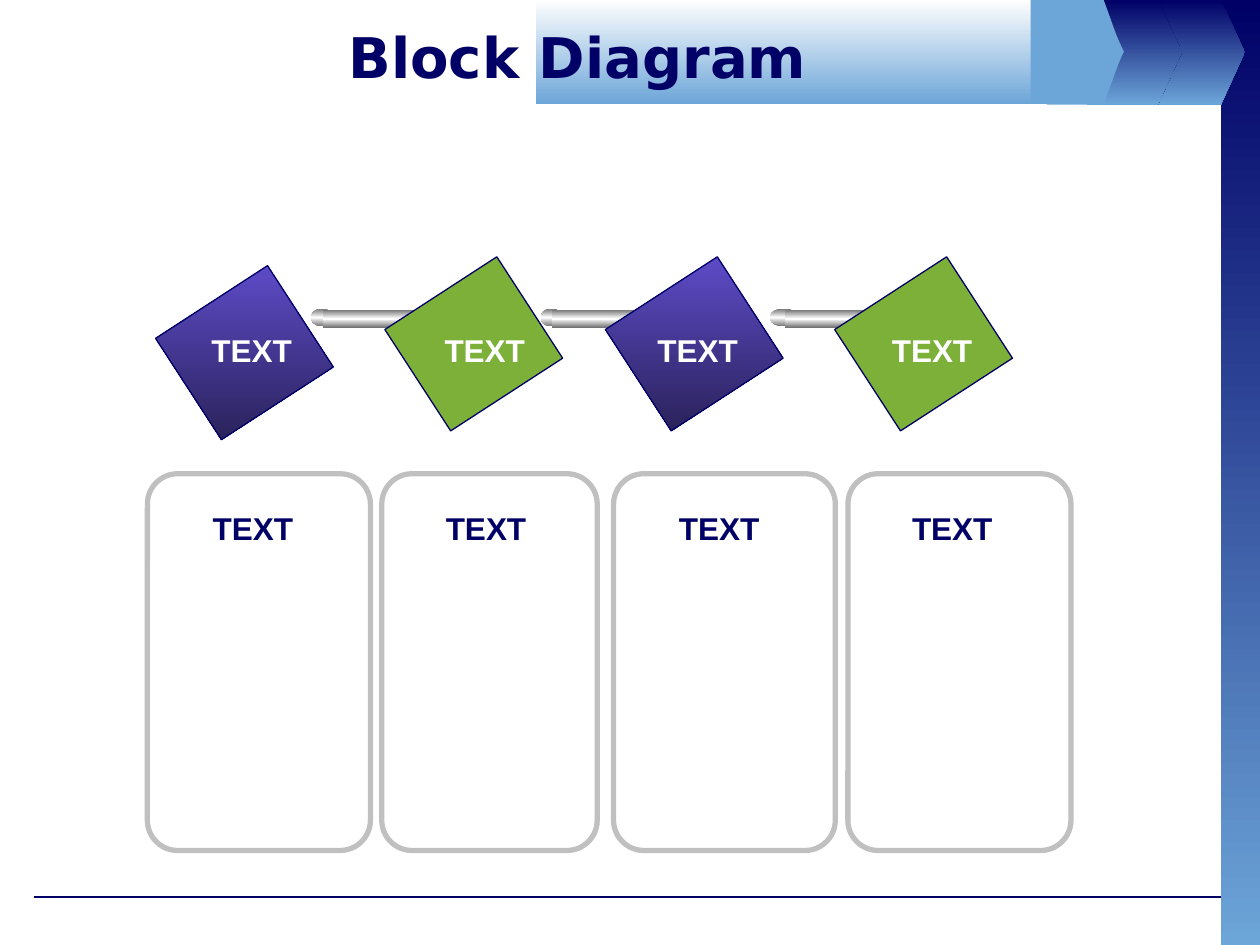
from dataclasses import dataclass
from lxml.etree import SubElement
from pptx import Presentation
from pptx.dml.color import RGBColor
from pptx.enum.shapes import MSO_CONNECTOR as Link, MSO_SHAPE as Kind
from pptx.enum.text import MSO_ANCHOR as Anchor, MSO_AUTO_SIZE as Fit, PP_ALIGN as Align
from pptx.oxml.ns import qn
from pptx.util import Inches, Pt


@dataclass(frozen=True)
class Theme:
    navy: str = "000066"
    sky: str = "6CA5D8"
    pale: str = "FEFEFE"
    white: str = "FFFFFF"
    gray: str = "C0C0C0"
    green: tuple = ("7DB038",)
    violet: tuple = ("5D4BC7", "2A225B")
    steel: tuple = ("757575", "FFFFFF", "757575")
    head: str = "DejaVu Sans"
    body: str = "Arial"
    big: int = 32
    small: int = 18


T = Theme()


def rgb(code):
    return RGBColor.from_string(code)


def paint(shape, tones=(), edge=None, width=0.75):
    shape.shadow.inherit = False
    if not tones:
        shape.fill.background()
    elif len(tones) == 1:
        shape.fill.solid()
        shape.fill.fore_color.rgb = rgb(tones[0])
    else:
        blend(shape, tones)
    if edge:
        shape.line.color.rgb = rgb(edge)
        shape.line.width = Pt(width)
    else:
        shape.line.fill.background()


def blend(shape, tones):
    shape.fill.gradient()
    shape.fill.gradient_angle = 270
    stops = shape.element.xpath(".//a:gsLst")[0]
    stops.getparent().set("rotWithShape", "0")
    for stop in list(stops):
        stops.remove(stop)
    for i, tone in enumerate(tones):
        stop = SubElement(stops, qn("a:gs"), pos=str(100000 * i // (len(tones) - 1)))
        SubElement(stop, qn("a:srgbClr"), val=tone)


def block(shapes, kind, box, *look):
    shape = shapes.add_shape(kind, *map(Inches, box))
    paint(shape, *look)
    return shape


def arrow(shapes, left, neck, tip, high, tones):
    spots = [(neck, 0), (tip, high / 2), (neck, high), (left, high)]
    pen = shapes.build_freeform(Inches(left), 0, scale=1.0)
    pen.add_line_segments([(Inches(x), Inches(y)) for x, y in spots], close=True)
    paint(pen.convert_to_shape(), tones)


def frame(shapes):
    rule = shapes.add_connector(Link.STRAIGHT, *map(Inches, (0.27, 7.12, 9.69, 7.12)))
    rule.line.color.rgb = rgb(T.navy)
    rule.line.width = Pt(0.75)
    SubElement(rule.element.spPr, qn("a:effectLst"))
    deep = (T.navy, T.sky)
    block(shapes, Kind.RECTANGLE, (9.69, 0, 0.31, 7.5), deep)
    arrow(shapes, 9.13, 9.69, 9.88, 0.83, deep)
    arrow(shapes, 8.63, 9.19, 9.38, 0.83, deep)
    arrow(shapes, 8.31, 8.76, 8.91, 0.83, (T.sky,))
    block(shapes, Kind.RECTANGLE, (4.25, 0, 4.18, 0.83), (T.pale, T.sky))
    arrow(shapes, 8.18, 8.73, 8.92, 0.82, (T.sky,))


def style(para, face, size, tone):
    font = para.font
    font.name, font.size, font.bold = face, Pt(size), True
    font.color.rgb = rgb(tone)


def heading(title, text):
    title.element.getparent().append(title.element)
    title.left, title.top, title.width, title.height = map(Inches, (0.5, 0.09, 8.17, 0.71))
    body = title.text_frame
    body.text = text
    body.auto_size = Fit.NONE
    body.vertical_anchor = Anchor.MIDDLE
    para = body.paragraphs[0]
    para.alignment = Align.CENTER
    style(para, T.head, T.big, T.navy)


def label(shapes, left, top, text, tone):
    body = shapes.add_textbox(*map(Inches, (left, top, 0.84, 0.4))).text_frame
    body.text = text
    body.word_wrap = False
    body.auto_size = Fit.SHAPE_TO_FIT_TEXT
    style(body.paragraphs[0], T.body, T.small, tone)


def panel(shapes, left, wide):
    shape = block(shapes, Kind.ROUNDED_RECTANGLE, (left, 3.76, wide, 2.99), (), T.gray, 3)
    shape.adjustments[0] = 0.24 / wide


def pipe(shapes, left, scale):
    group = shapes.add_group_shape().shapes
    parts = [
        (Kind.OVAL, 0, 2.45, 0.17, 0.14, None),
        (Kind.RECTANGLE, 0.09, 2.46, 0.82, 0.14, None),
        (Kind.OVAL, 0.84, 2.46, 0.15, 0.13, T.white),
        (Kind.OVAL, 0.92, 2.5, 0.04, 0.04, None),
    ]
    for kind, shift, top, wide, high, edge in parts:
        box = (left + shift * scale, top, wide * scale, high)
        block(group, kind, box, T.steel, edge, 1)


def tile(shapes, left, top, tones):
    box = (left, top, 0.96, 1.06)
    block(shapes, Kind.RECTANGLE, box, tones, T.navy).rotation = 57


def main():
    deck = Presentation()
    deck.slide_width, deck.slide_height = Inches(10), Inches(7.5)
    slide = deck.slides.add_slide(deck.slide_layouts[5])
    shapes = slide.shapes
    frame(shapes)
    heading(shapes.title, "Block Diagram")

    for left, wide in [(6.73, 1.77), (4.87, 1.76), (3.03, 1.71), (1.17, 1.77)]:
        panel(shapes, left, wide)

    tile(shapes, 1.46, 2.27, T.violet)
    steps = [
        (2.47, 1, 3.28, T.green),
        (4.29, 1, 5.03, T.violet),
        (6.11, 1.3, 6.85, T.green),
    ]
    for start, scale, left, tones in steps:
        pipe(shapes, start, scale)
        tile(shapes, left, 2.2, tones)

    for left in (1.58, 3.43, 5.12, 6.98):
        label(shapes, left, 2.58, "TEXT", T.white)
    for i in range(4):
        label(shapes, 1.59 + 1.85 * i, 3.99, "TEXT", T.navy)
    deck.save("out.pptx")


if __name__ == "__main__":
    main()
